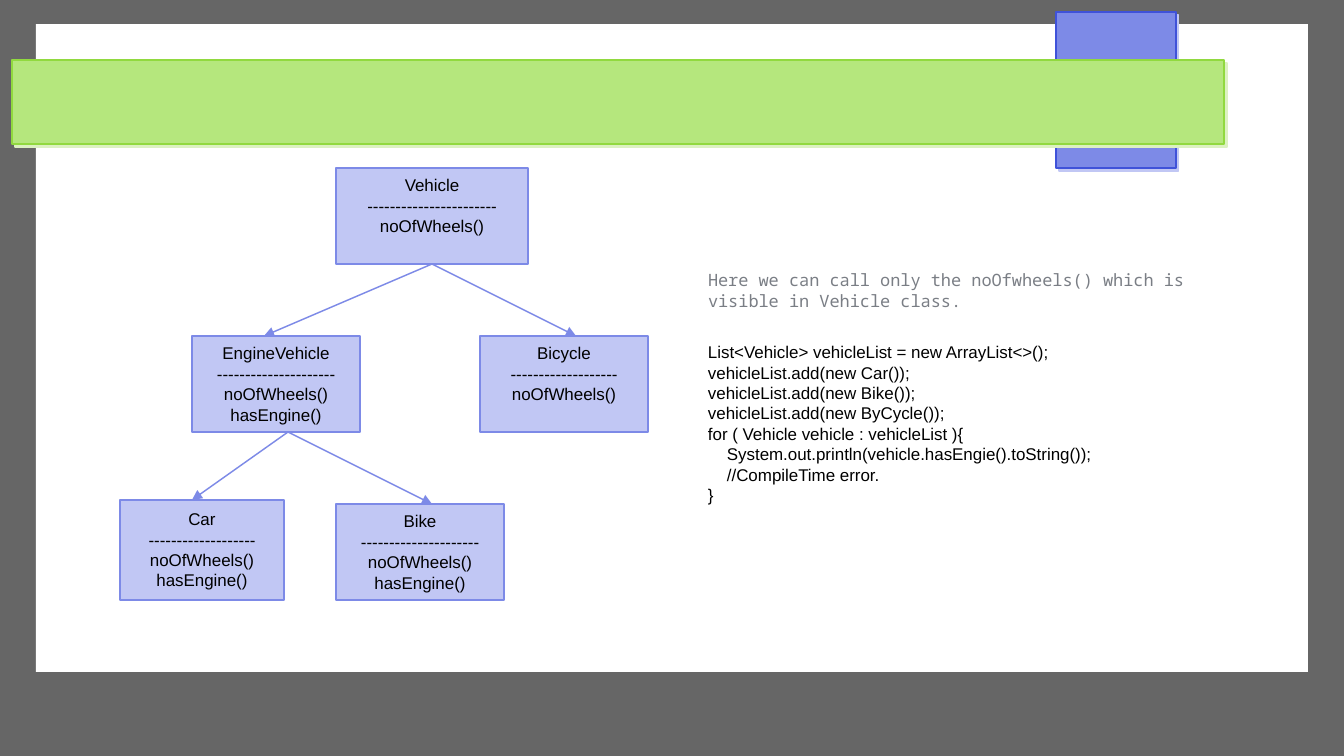
from dataclasses import dataclass
from lxml.etree import SubElement
from pptx import Presentation
from pptx.dml.color import RGBColor
from pptx.enum.shapes import MSO_CONNECTOR, MSO_SHAPE
from pptx.enum.text import MSO_ANCHOR, PP_ALIGN
from pptx.oxml.ns import qn
from pptx.util import Pt

SCALE = 7495


@dataclass(frozen=True)
class Theme:
    back: str = "666666"
    paper: str = "FFFFFF"
    blue: str = "7D8AE7"
    edge: str = "3F52D9"
    pale: str = "C1C7F4"
    green: str = "B5E77D"
    rim: str = "91D93F"
    shade: str = "DCF1C1"
    ink: str = "000000"
    gray: str = "7A7E85"
    sans: str = "Arial"
    mono: str = "Noto Sans Mono"
    size: float = 10
    line: float = 0.85


THEME = Theme()


def px(*nums):
    return [round(num * SCALE) for num in nums]


def color(code):
    return RGBColor.from_string(code)


def write(frame, lines, font=THEME.sans, ink=THEME.ink, align=PP_ALIGN.LEFT,
          wrap=True, pad=(12, 6), tab=19):
    frame.word_wrap = wrap
    frame.vertical_anchor = MSO_ANCHOR.TOP
    frame.margin_left = frame.margin_right = px(pad[0])[0]
    frame.margin_top = frame.margin_bottom = px(pad[1])[0]
    for num, line in enumerate(lines):
        para = frame.paragraphs[0] if num == 0 else frame.add_paragraph()
        para.alignment = align
        if line.startswith("\t"):
            para._p.get_or_add_pPr().set("marL", str(px(tab)[0]))
        run = para.add_run()
        run.text = line.strip("\t")
        run.font.name = font
        run.font.size = Pt(THEME.size)
        run.font.color.rgb = color(ink)


def block(slide, box, fill, edge=None, shade=None):
    shape = slide.shapes.add_shape(MSO_SHAPE.RECTANGLE, *px(*box))
    shape.shadow.inherit = False
    shape.fill.solid()
    shape.fill.fore_color.rgb = color(fill)
    if edge:
        shape.line.color.rgb = color(edge)
        shape.line.width = Pt(THEME.line)
    else:
        shape.line.fill.background()
    if shade:
        effect = shape._element.spPr.find(qn("a:effectLst"))
        drop = SubElement(effect, qn("a:outerShdw"), blurRad="0",
                          dist=str(Pt(2.4)), dir="2700000", algn="tl", rotWithShape="0")
        SubElement(drop, qn("a:srgbClr"), val=shade)
    return shape


def arrow(slide, start, end):
    line = slide.shapes.add_connector(MSO_CONNECTOR.STRAIGHT, *px(*start, *end))
    line.line.color.rgb = color(THEME.blue)
    line.line.width = Pt(THEME.line)
    SubElement(line.line._get_or_add_ln(), qn("a:tailEnd"), type="triangle")
    SubElement(line._element.spPr, qn("a:effectLst"))


def frame(slide, box):
    left, top, width, height = box
    fill = slide.background.fill
    fill.solid()
    fill.fore_color.rgb = color(THEME.back)
    block(slide, (left + 36, top + 24, width - 72, height - 108), THEME.paper)
    block(slide, (left + 1056, top + 12, 120, 156), THEME.blue, THEME.edge, THEME.pale)
    block(slide, (left + 12, top + 60, 1212, 84), THEME.green, THEME.rim, THEME.shade)


def node(slide, box, name, dash, calls):
    shape = block(slide, box, THEME.pale, THEME.blue)
    write(shape.text_frame, [name, "-" * dash, *calls], align=PP_ALIGN.CENTER,
          wrap=False, pad=(12, (box[3] - 82) / 2))


def tree(slide, box):
    left, top = box[:2]
    wheels, engine = "noOfWheels()", "hasEngine()"
    nodes = [
        ((216, 0, 192, 96), "Vehicle", 23, [wheels]),
        ((72, 168, 168, 96), "EngineVehicle", 21, [wheels, engine]),
        ((360, 168, 168, 96), "Bicycle", 19, [wheels]),
        ((0, 332, 164, 100), "Car", 19, [wheels, engine]),
        ((216, 336, 168, 96), "Bike", 21, [wheels, engine]),
    ]
    for (x, y, width, height), *parts in nodes:
        node(slide, (left + x, top + y, width, height), *parts)
    links = [
        ((312, 96), [(144, 168), (456, 168)]),
        ((168, 264), [(72, 332), (312, 336)]),
    ]
    for (x, y), tips in links:
        for tipx, tipy in tips:
            arrow(slide, (left + x, top + y), (left + tipx, top + tipy))


def code(slide, box):
    left, top, width, height = box
    note = slide.shapes.add_textbox(*px(left, top, 528, 72))
    write(note.text_frame,
          ["Here we can call only the noOfwheels() which is visible in Vehicle class."],
          font=THEME.mono, ink=THEME.gray)
    body = slide.shapes.add_textbox(*px(left, top + 72, width, height - 72))
    write(body.text_frame, [
        "List<Vehicle> vehicleList = new ArrayList<>();",
        "vehicleList.add(new Car());",
        "vehicleList.add(new Bike());",
        "vehicleList.add(new ByCycle());",
        "for ( Vehicle vehicle : vehicleList ){",
        "\tSystem.out.println(vehicle.hasEngie().toString());",
        "\t//CompileTime error.",
        "}",
    ])


def main():
    deck = Presentation()
    deck.slide_width, deck.slide_height = px(1344, 756)
    slide = deck.slides.add_slide(deck.slide_layouts[6])
    frame(slide, (0, 0, 1344, 756))
    tree(slide, (120, 168, 528, 432))
    code(slide, (696, 264, 600, 336))
    deck.save("out.pptx")


if __name__ == "__main__":
    main()
